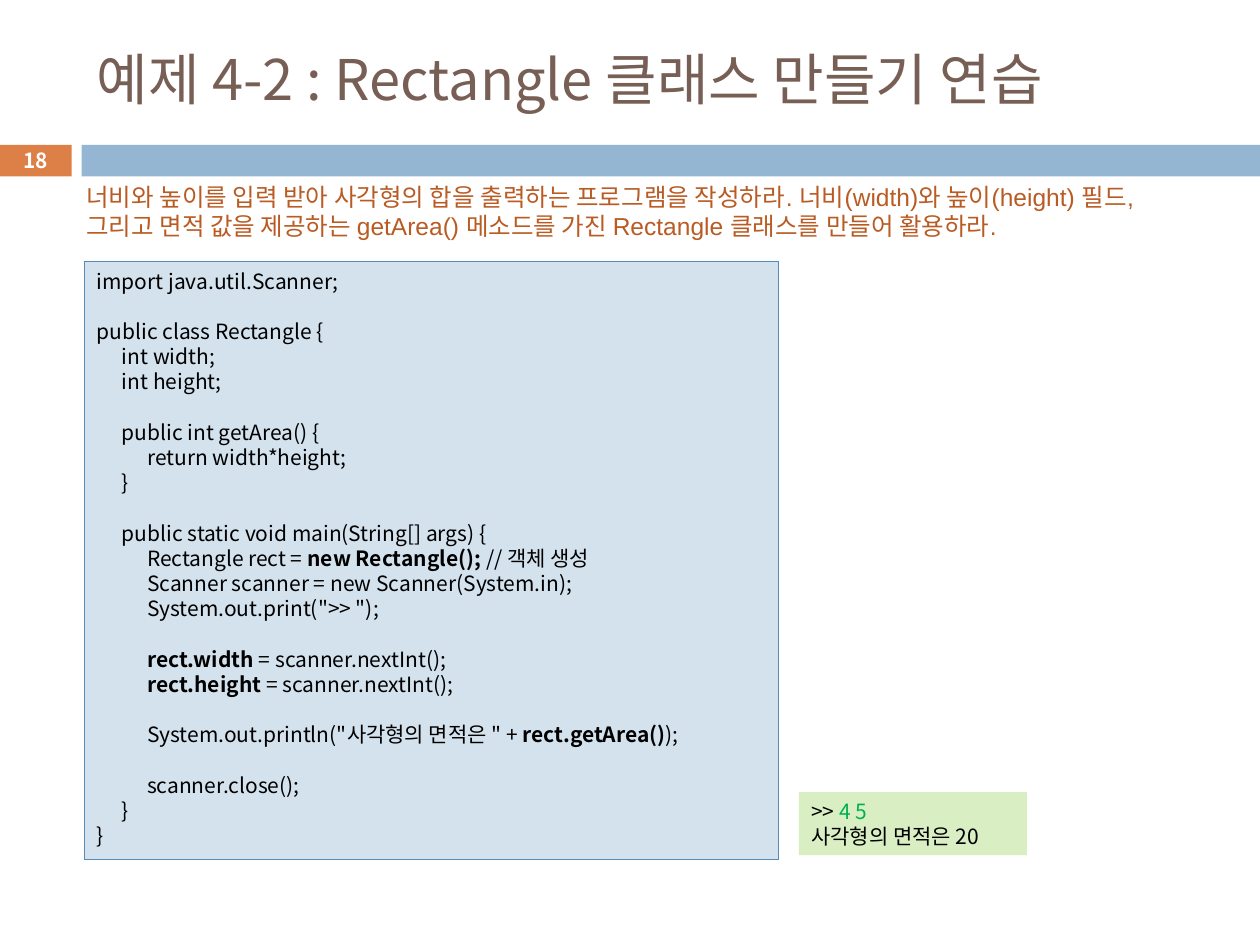
from lxml import etree
from pptx import Presentation
from pptx import util as u
from pptx.dml.color import RGBColor
from pptx.enum import shapes, text
from pptx.oxml import ns

COLORS = {
    "orange": "DD8047", "blue": "94B6D2", "title": "775F55", "task": "B95B22",
    "code_fill": "D4E2ED", "code_line": "558BB8", "output_fill": "DAEEC4",
    "input": "00B050", "black": "000000", "white": "FFFFFF",
}
SANS = "Noto Sans CJK KR"
TAB = 14.4
CODE_PITCH = 14.4

# Bold parts stand between ** marks; an empty line opens a gap.
CODE = """import java.util.Scanner;

public class Rectangle {
\tint width;
\tint height;

\tpublic int getArea() {
\t\treturn width*height;
\t}

\tpublic static void main(String[] args) {
\t\tRectangle rect = **new Rectangle();** // 객체 생성
\t\tScanner scanner = new Scanner(System.in);
\t\tSystem.out.print(">> ");

\t\t**rect.width **= scanner.nextInt();
\t\t**rect.height **= scanner.nextInt();

\t\tSystem.out.println("사각형의 면적은 " + **rect.getArea()**);

\t\tscanner.close();
\t}
}"""


def color(name):
    return RGBColor.from_string(COLORS[name])


def add_span(para, words, size=12, font=SANS, fill="black", bold=False):
    span = para.add_run()
    span.text = words
    span.font.size = u.Pt(size)
    span.font.name = font
    span.font.bold = bold
    span.font.color.rgb = color(fill)
    east_asian = etree.SubElement(span.font._element, ns.qn("a:ea"))
    east_asian.set("typeface", SANS)


def add_tab_stops(para, count):
    stops = etree.SubElement(para._p.get_or_add_pPr(), ns.qn("a:tabLst"))
    for number in range(1, count + 1):
        stop = etree.SubElement(stops, ns.qn("a:tab"))
        stop.set("pos", str(int(u.Pt(TAB * number))))
        stop.set("algn", "l")


class SlideBuilder:
    def __init__(self, deck):
        self.page = deck.slides.add_slide(deck.slide_layouts[6])

    def rectangle(self, left, top, width, height, fill, line=None):
        box = self.page.shapes.add_shape(
            shapes.MSO_SHAPE.RECTANGLE, *map(u.Pt, (left, top, width, height)))
        box.shadow.inherit = False
        box.fill.solid()
        box.fill.fore_color.rgb = color(fill)
        if line:
            box.line.color.rgb = color(line)
            box.line.width = u.Pt(0.75)
        else:
            box.line.fill.background()
        return box

    def label(self, left, top, width, height, words, middle=True,
              align=text.PP_ALIGN.LEFT, **style):
        box = self.page.shapes.add_textbox(
            *map(u.Pt, (left, top, width, height)))
        frame = box.text_frame
        frame.word_wrap = True
        frame.vertical_anchor = (
            text.MSO_ANCHOR.MIDDLE if middle else text.MSO_ANCHOR.TOP)
        para = frame.paragraphs[0]
        para.alignment = align
        add_span(para, words, **style)

    def listing(self, box, lines):
        """Fill a box with lines, each a list of (words, style) pairs."""
        frame = box.text_frame
        frame.word_wrap = True
        frame.vertical_anchor = text.MSO_ANCHOR.TOP
        para, gap = None, 0
        for line in lines:
            if not line:
                gap = CODE_PITCH
                continue
            para = frame.add_paragraph() if para else frame.paragraphs[0]
            para.alignment = text.PP_ALIGN.LEFT
            para.line_spacing = u.Pt(CODE_PITCH)
            if gap:
                para.space_before = u.Pt(gap)
            add_tab_stops(para, 2)
            for words, style in line:
                add_span(para, words, **style)
            gap = 0


def code_spans(line):
    return [(part, {"bold": index % 2 == 1})
            for index, part in enumerate(line.split("**")) if part]


def main():
    deck = Presentation()
    deck.slide_width, deck.slide_height = u.Pt(720), u.Pt(540)
    slide = SlideBuilder(deck)

    slide.rectangle(-0.5, 82.8, 41.5, 18, "orange")
    slide.rectangle(46.6, 82.8, 673.4, 18, "blue")
    slide.label(48.2, 18, 642, 53.3, "예제 4-2 : Rectangle 클래스 만들기 연습",
                size=32, fill="title")
    slide.label(-0.5, 81.6, 41.5, 19.4, "18", align=text.PP_ALIGN.CENTER,
                size=11.9, fill="white", bold=True)
    slide.label(
        42.2, 100.2, 646.6, 41.2,
        "너비와 높이를 입력 받아 사각형의 합을 출력하는 프로그램을 작성하라. "
        "너비(width)와 높이(height) 필드, 그리고 면적 값을 제공하는 getArea() "
        "메소드를 가진 Rectangle 클래스를 만들어 활용하라.",
        middle=False, size=14, font="Arial", fill="task")

    code_box = slide.rectangle(48.2, 149.6, 396.7, 341.6,
                               "code_fill", "code_line")
    slide.listing(code_box, map(code_spans, CODE.split("\n")))

    output_box = slide.rectangle(456.5, 452.7, 130.4, 36, "output_fill")
    slide.listing(output_box, [
        [(">> ", {}), ("4 5", {"fill": "input"})],
        [("사각형의 면적은 20", {})],
    ])
    deck.save("out.pptx")


if __name__ == "__main__":
    main()
